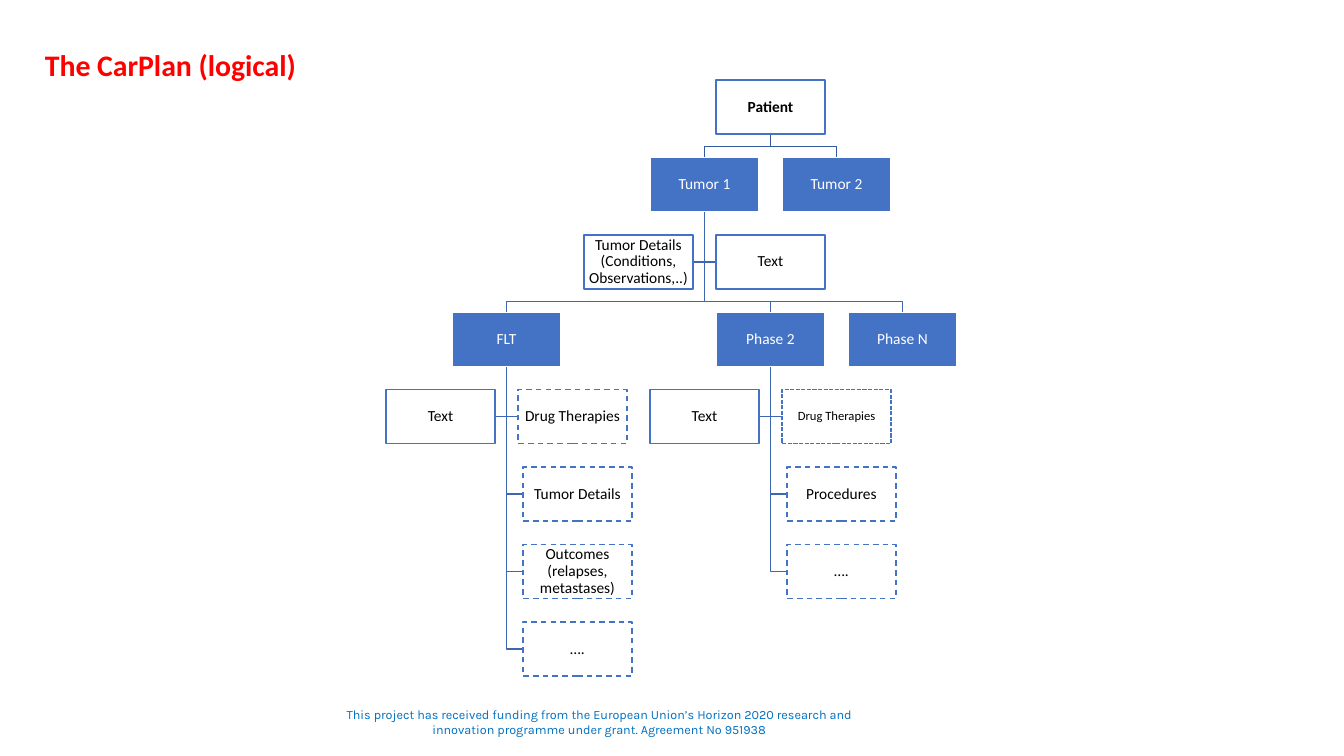
from collections import namedtuple
from dataclasses import dataclass

from pptx import Presentation
from pptx.dml.color import RGBColor as Rgb
from pptx.enum.dml import MSO_LINE as Dash
from pptx.enum.shapes import MSO_SHAPE as Shape
from pptx.enum.text import MSO_ANCHOR as Anchor, PP_ALIGN as Align
from pptx.util import Inches, Pt

SCALE = Inches(1) / 100.8
Box = namedtuple("Box", "x y w h")
Node = namedtuple("Node", "key up text col row look shift", defaults=[0])
Look = namedtuple("Look", "fill line ink dash size bold",
                  defaults=[None, 11, False])


@dataclass(frozen=True)
class Theme:
    """Colours, fonts and type sizes of the slide."""
    blue: str = "4472C4"
    white: str = "FFFFFF"
    black: str = "000000"
    top: str = "365B9D"
    link: str = "3E67B2"
    red: str = "FF0000"
    note: str = "0070C0"
    body: str = "Calibri"
    small: str = "Karla"
    title: float = 21.3
    foot: float = 9


T = Theme()
PLAIN = Look(T.white, T.blue, T.black)
LOOKS = {
    "root": PLAIN._replace(bold=True),
    "solid": Look(T.blue, T.white, T.white),
    "plain": PLAIN,
    "dash": PLAIN._replace(dash=Dash.DASH),
    "fine": PLAIN._replace(dash=Dash.SQUARE_DOT, size=9),
}

# Columns and rows count from the top left cell of the tree.
HANG = 5
NODES = [
    Node("root", None, "Patient", 5, 0, "root"),
    Node("one", "root", "Tumor 1", 4, 1, "solid"),
    Node("two", "root", "Tumor 2", 6, 1, "solid"),
    Node("facts", "one", "Tumor Details (Conditions, Observations,..)",
         3, 2, "plain"),
    Node("text", "one", "Text", 5, 2, "plain"),
    Node("flt", "one", "FLT", 1, 3, "solid"),
    Node("next", "one", "Phase 2", 5, 3, "solid"),
    Node("last", "one", "Phase N", 7, 3, "solid"),
    Node("flt text", "flt", "Text", 0, 4, "plain"),
    Node("flt drugs", "flt", "Drug Therapies", 2, 4, "dash"),
    Node("flt facts", "flt", "Tumor Details", 2, 5, "dash", HANG),
    Node("flt ends", "flt", "Outcomes (relapses, metastases)",
         2, 6, "dash", HANG),
    Node("flt more", "flt", "\u2026.", 2, 7, "dash", HANG),
    Node("next text", "next", "Text", 4, 4, "plain"),
    Node("next drugs", "next", "Drug Therapies", 6, 4, "fine"),
    Node("next acts", "next", "Procedures", 6, 5, "dash", HANG),
    Node("next more", "next", "\u2026.", 6, 6, "dash", HANG),
]


def emu(*vals):
    """Turn pixels into EMU."""
    return [round(v * SCALE) for v in vals]


def write(frame, text, font, size, ink, bold=False, align=Align.CENTER):
    """Fill a text frame with one styled paragraph."""
    frame.text = text
    para = frame.paragraphs[0]
    para.alignment = align
    face = para.runs[0].font
    face.name, face.size, face.bold = font, Pt(size), bold
    face.color.rgb = Rgb.from_string(ink)
    return para


def inset(frame, gap):
    """Give a text frame the same margin on each side."""
    frame.margin_left = frame.margin_right = gap
    frame.margin_top = frame.margin_bottom = gap


def draw_link(slide, points, ink):
    """Draw an open elbow line through the points."""
    first, *rest = [emu(*point) for point in points]
    pen = slide.shapes.build_freeform(*first)
    pen.add_line_segments(rest, close=False)
    line = pen.convert_to_shape()
    line.fill.background()
    line.line.color.rgb = Rgb.from_string(ink)
    line.line.width = Pt(1)
    line.shadow.inherit = False


def draw_node(slide, box, text, look):
    """Draw one box of the tree with its label."""
    card = slide.shapes.add_shape(Shape.RECTANGLE, *emu(*box))
    card.shadow.inherit = False
    card.fill.solid()
    card.fill.fore_color.rgb = Rgb.from_string(look.fill)
    card.line.color.rgb = Rgb.from_string(look.line)
    card.line.width = Pt(1)
    if look.dash:
        card.line.dash_style = look.dash
    frame = card.text_frame
    frame.word_wrap = True
    frame.vertical_anchor = Anchor.MIDDLE
    inset(frame, Inches(0.01))
    para = write(frame, text, T.body, look.size, look.ink, look.bold)
    para.line_spacing = 0.9


def route(start, end, down):
    """Find the elbow from a parent to a child below or beside its stem."""
    stem, base = start.x + start.w / 2, start.y + start.h
    if down:
        mid, bus = end.x + end.w / 2, end.y - 11
        return [(stem, base), (stem, bus), (mid, bus), (mid, end.y)]
    level = end.y + end.h / 2
    edge = end.x if end.x > stem else end.x + end.w
    return [(stem, base), (stem, level), (edge, level)]


def draw_tree(slide, area):
    """Lay the nodes on an even grid in the area and join them."""
    wide, high, cols, rows = 109, 54, 7, 7
    step = (area.w - wide) / cols
    drop = (area.h - high) / rows
    spots = {n.key: Box(area.x + n.col * step + n.shift,
                        area.y + n.row * drop, wide, high) for n in NODES}
    for node in NODES:
        if node.up:
            points = route(spots[node.up], spots[node.key],
                           node.look == "solid")
            draw_link(slide, points, T.top if node.up == "root" else T.link)
    for node in NODES:
        draw_node(slide, spots[node.key], node.text, LOOKS[node.look])


def draw_title(slide, area):
    """Write the slide title in the area."""
    frame = slide.shapes.add_textbox(*emu(*area)).text_frame
    frame.word_wrap = False
    write(frame, "The CarPlan (logical)", T.body, T.title, T.red, True,
          Align.LEFT)


def draw_foot(slide, area):
    """Write the funding note in the area."""
    frame = slide.shapes.add_textbox(*emu(*area)).text_frame
    frame.word_wrap = True
    inset(frame, 0)
    write(frame, "This project has received funding from the European "
          "Union\u2019s Horizon 2020 research and innovation programme under "
          "grant. Agreement N\u00ba 951938", T.small, T.foot, T.note)


def main():
    """Build and save the slide."""
    deck = Presentation()
    deck.slide_width, deck.slide_height = emu(1344, 756)
    slide = deck.slides.add_slide(deck.slide_layouts[6])
    draw_foot(slide, Box(329, 707, 540, 30))
    draw_tree(slide, Box(386, 80, 571, 596))
    draw_title(slide, Box(35, 42, 275, 46))
    deck.save("out.pptx")


main()
